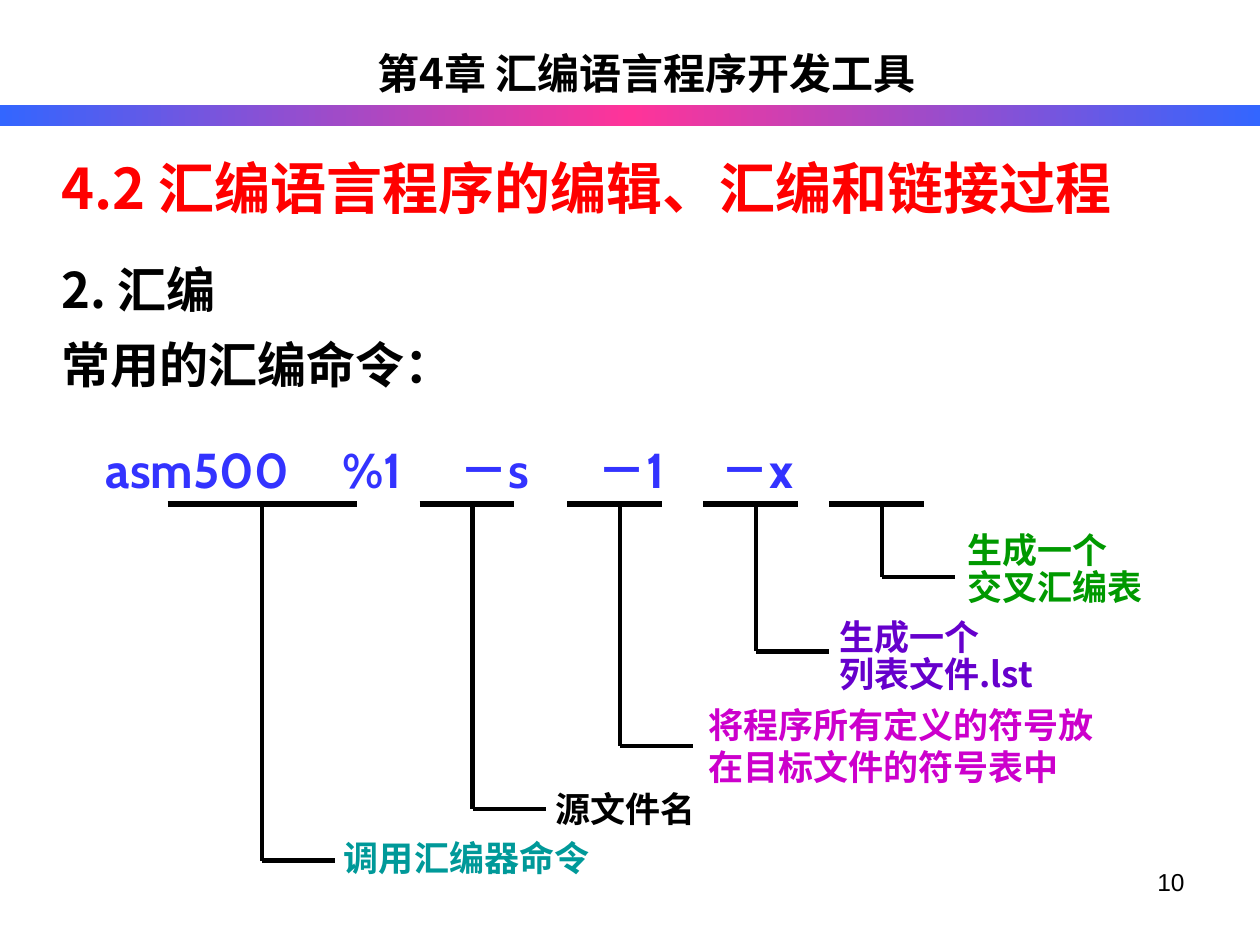
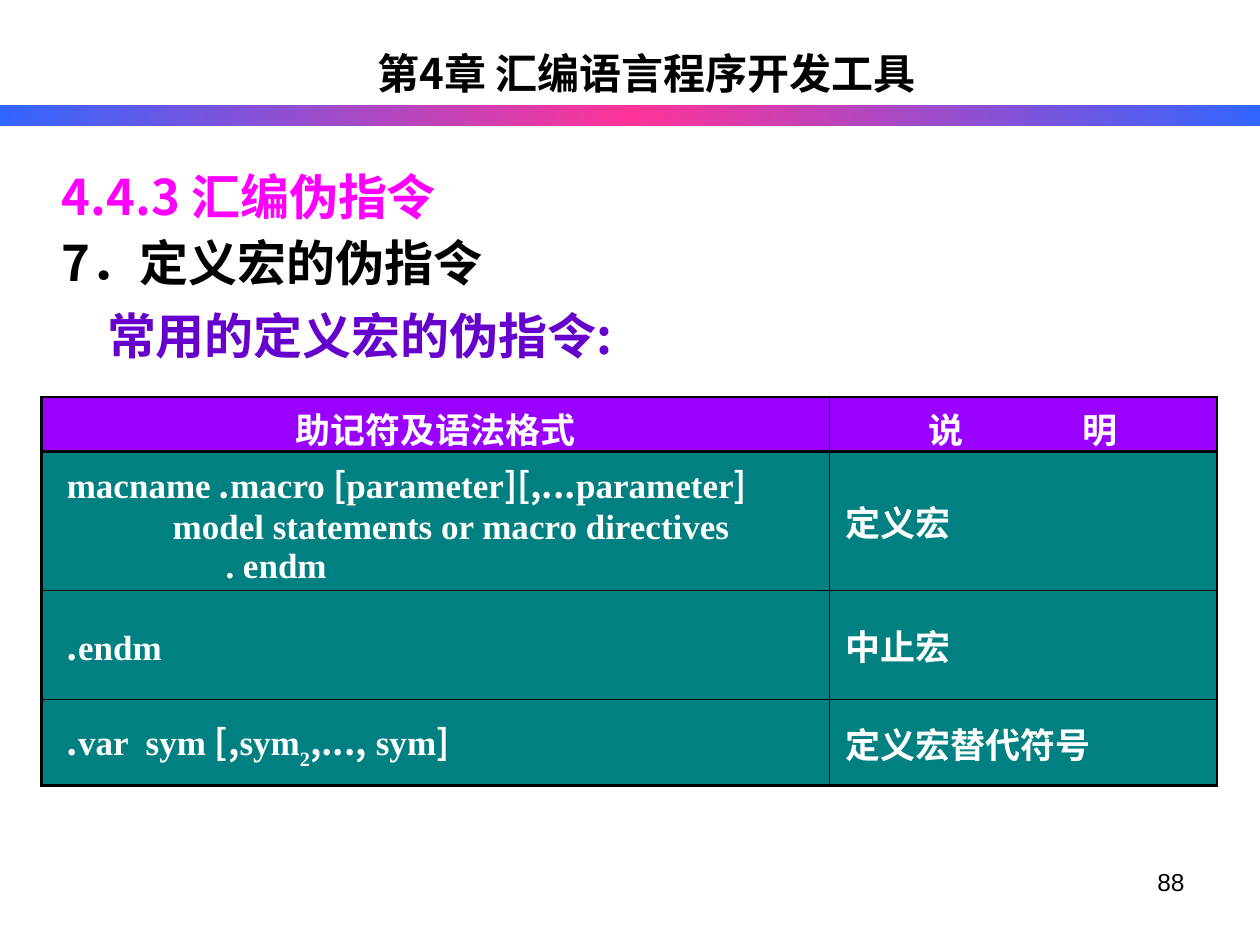
"""Build two slides on assembler commands and macro directives."""
from copy import deepcopy

from lxml import etree
from pptx import Presentation
from pptx import util as u
from pptx.dml.color import RGBColor
from pptx.enum import shapes, text
from pptx.oxml.ns import qn

CJK, SERIF = "Noto Sans CJK SC", "Times New Roman"
BLACK, WHITE, BLUE, PINK = "000000", "FFFFFF", "3366FF", "FF3399"
VIOLET, PURPLE, TEAL = "6600CC", "9900FF", "008080"
LEFT, CENTER, RIGHT = text.PP_ALIGN.LEFT, text.PP_ALIGN.CENTER, text.PP_ALIGN.RIGHT
TOP, MIDDLE = text.MSO_ANCHOR.TOP, text.MSO_ANCHOR.MIDDLE
BODY, PLAIN, TIGHT = (0.41, 0.05), (0.1, 0.05), (0.02, 0)
rgb = RGBColor.from_string


def style(run, color, size, name=CJK, bold=True):
    run.font.size, run.font.bold, run.font.name = u.Pt(size), bold, name
    run.font.color.rgb = rgb(color)
    etree.SubElement(run._r.get_or_add_rPr(), qn("a:ea"), typeface=CJK)


def write(box, place, content, color, size, spacing=1.0, align=LEFT,
          inset=BODY, anchor=TOP, name=CJK, bold=True):
    box.left, box.top, box.width, box.height = map(u.Inches, place)
    frame = box.text_frame
    frame.text = content
    frame.word_wrap, frame.vertical_anchor = True, anchor
    frame.margin_left, frame.margin_top = map(u.Inches, inset)
    frame.margin_right = u.Inches(min(inset[0], 0.1))
    frame.margin_bottom = frame.margin_top
    for paragraph in frame.paragraphs:
        paragraph.alignment, paragraph.line_spacing = align, spacing
        for run in paragraph.runs:
            style(run, color, size, name, bold)
    return frame.paragraphs[0]


deck = Presentation()
deck.slide_width, deck.slide_height = u.Inches(10), u.Inches(7.5)

sections = [
    ("4.2 汇编语言程序的编辑、汇编和链接过程", (0.08, 1.17, 9, 0.64), "FF0000", 32, 1.0, "10"),
    ("4.4.3 汇编伪指令", (0.08, 1.13, 9.5, 0.71), "FF00FF", 28, 1.3, "88"),
]
for heading, place, color, size, spacing, number in sections:
    slide = deck.slides.add_slide(deck.slide_layouts[5])
    write(slide.shapes.title, place, heading, color, size, spacing)
    chapter = slide.shapes.add_textbox(0, 0, 0, 0)
    write(chapter, (2.67, 0.33, 4.92, 0.5), "第4章 汇编语言程序开发工具", BLACK, 24,
          align=CENTER, inset=PLAIN)
    band = slide.shapes.add_shape(shapes.MSO_SHAPE.RECTANGLE, 0, u.Inches(0.83),
                                  u.Inches(10), u.Inches(0.17))
    band.shadow.inherit = False
    band.line.fill.background()
    band.fill.gradient()
    band.fill.gradient_angle = 0
    stop_list = band._element.spPr.find(qn("a:gradFill")).find(qn("a:gsLst"))
    stop_list.insert(1, deepcopy(stop_list[0]))
    for stop, position, tint in zip(band.fill.gradient_stops, (0, 0.5, 1), (BLUE, PINK, BLUE)):
        stop.position, stop.color.rgb = position, rgb(tint)
    page = slide.shapes.add_textbox(0, 0, 0, 0)
    write(page, (7.17, 6.83, 2.33, 0.52), number, BLACK, 14,
          align=RIGHT, inset=PLAIN, name="Arial", bold=False)

command_slide, macro_slide = deck.slides

for place, content, spacing in [((0.08, 1.78, 9.5, 0.8), "2. 汇编", 1.5),
                                ((0.08, 2.42, 9.5, 0.76), "常用的汇编命令：", 1.4)]:
    write(command_slide.shapes.add_textbox(0, 0, 0, 0), place, content, BLACK, 28, spacing)

command = write(command_slide.shapes.add_textbox(0, 0, 0, 0), (0.08, 3.25, 9.5, 0.76),
                "\tasm500\t%1\t－s\t－1\t－x", "3333FF", 28, 1.4, name="Cabin")
tabs = etree.SubElement(command._p.get_or_add_pPr(), qn("a:tabLst"))
for position in (0.35, 2.23, 3.16, 4.25, 5.23):
    etree.SubElement(tabs, qn("a:tab"), pos=str(int(u.Inches(position))), algn="l")

base = 4
branches = [
    (1.33, 1.5, 2.08, 6.83, "调用汇编器命令", "009999", (2.71, 6.57, 2.33, 0.47), 1.0),
    (3.33, 0.75, 3.75, 6.42, "源文件名", BLACK, (4.39, 6.25, 2.33, 0.33), 1.0),
    (4.5, 0.75, 4.92, 5.92, "将程序所有定义的符号放在目标文件的符号表中", "CC00CC",
     (5.6, 5.58, 3.17, 0.67), 1.0),
    (5.58, 0.75, 6, 5.17, "生成一个\n列表文件.lst", VIOLET, (6.64, 4.92, 2, 0.6), 0.9),
    (6.58, 0.75, 7, 4.58, "生成一个\n交叉汇编表", "009900", (7.66, 4.23, 2, 0.6), 0.9),
]
for start, width, stem, depth, label, color, place, spacing in branches:
    for ends, weight in [((start, base, start + width, base), 3),
                         ((stem, base, stem, depth), 2.5),
                         ((stem, depth, stem + 0.58, depth), 2.5)]:
        line = command_slide.shapes.add_connector(shapes.MSO_CONNECTOR.STRAIGHT,
                                                  *map(u.Inches, ends))
        line.line.color.rgb, line.line.width = rgb(BLACK), u.Pt(weight)
        etree.SubElement(line._element.spPr, qn("a:effectLst"))
    write(command_slide.shapes.add_textbox(0, 0, 0, 0), place, label, color, 20, spacing,
          inset=TIGHT, anchor=MIDDLE)

write(macro_slide.shapes.add_textbox(0, 0, 0, 0), (0.08, 1.75, 9.75, 0.62),
      "7．定义宏的伪指令", BLACK, 28, 1.1)
intro = write(macro_slide.shapes.add_textbox(0, 0, 0, 0), (0.08, 2.33, 9.42, 0.62),
              "常用的定义宏的伪指令:", VIOLET, 28, 1.1)
intro._p.get_or_add_pPr().set("marL", str(int(u.Inches(0.36))))

# Pieces between bars alternate between the serif and the CJK font.
directives = [
    ([(0, "|助记符及语法格式")], [(0, "|说|明")]),
    ([(0.14, "macname| .|macro| [|parameter|][,...|parameter|]"),
      (0.98, "model statements or macro directives"), (1.4, ". endm")], [(0.07, "|定义宏")]),
    ([(0.14, "|.|endm")], [(0.07, "|中止宏")]),
    ([(0.14, "|.|var  sym |[,|sym||2|,...,| sym|]")], [(0.07, "|定义宏替代符号")]),
]
widths, heights = (6.25, 3.08), (0.42, 1.04, 0.87, 0.68)
table = macro_slide.shapes.add_table(len(heights), len(widths), u.Inches(0.33), u.Inches(3.15),
                                     u.Inches(sum(widths)), u.Inches(sum(heights))).table
for column, width in zip(table.columns, widths):
    column.width = u.Inches(width)
for r, (row, height, entries) in enumerate(zip(table.rows, heights, directives)):
    row.height = u.Inches(height)
    for c, lines in enumerate(entries):
        cell = table.cell(r, c)
        cell.vertical_anchor = MIDDLE
        cell.margin_left = cell.margin_right = u.Inches(0.06)
        cell.margin_top = cell.margin_bottom = u.Inches(0.05)
        thick_sides = {"L": c == 0, "R": c == 1, "T": r < 2, "B": r in (0, 3)}
        for side, thick in thick_sides.items():
            border = etree.SubElement(cell._tc.get_or_add_tcPr(), qn(f"a:ln{side}"),
                                      w=str(int(u.Pt(1.47 if thick else 0.75))))
            ink = etree.SubElement(border, qn("a:solidFill"))
            etree.SubElement(ink, qn("a:srgbClr"), val=BLACK)
        cell.fill.solid()
        cell.fill.fore_color.rgb = rgb(TEAL if r else PURPLE)
        cell.text_frame.text = "\n" * (len(lines) - 1)
        for paragraph, (indent, pieces) in zip(cell.text_frame.paragraphs, lines):
            paragraph.alignment = LEFT if r else CENTER
            paragraph._p.get_or_add_pPr().set("marL", str(int(u.Inches(indent))))
            for i, piece in enumerate(pieces.split("|")):
                if piece:
                    run = paragraph.add_run()
                    run.text = piece
                    style(run, WHITE, 20, CJK if i % 2 or r == 0 else SERIF)
                    if piece == "2":
                        run._r.get_or_add_rPr().set("baseline", "-30000")
                    if piece == "说":
                        run._r.get_or_add_rPr().set("spc", "6800")

deck.save("out.pptx")
